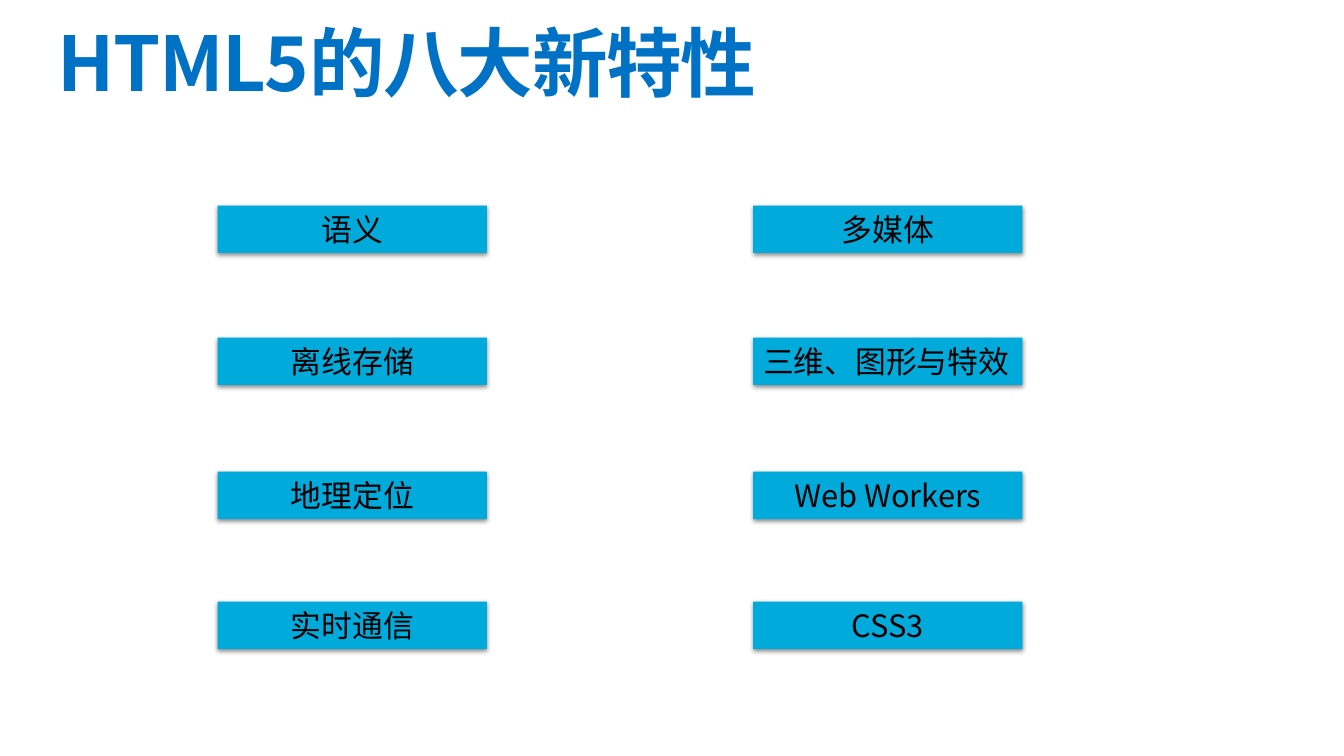
from dataclasses import dataclass

from lxml.etree import SubElement
from pptx import Presentation
from pptx.dml.color import RGBColor
from pptx.enum.shapes import MSO_SHAPE
from pptx.enum.text import MSO_ANCHOR, PP_ALIGN
from pptx.oxml.ns import qn
from pptx.util import Emu, Pt

SCALE = 9144  # EMU per px, 100 px to the inch
FONT = "Noto Sans CJK SC"
TITLE_BLUE = RGBColor(0x00, 0x72, 0xC6)
BOX_BLUE = RGBColor(0x00, 0xAB, 0xDC)
BLACK = RGBColor(0x00, 0x00, 0x00)

BOX_W, BOX_H = 267, 47
COLUMNS = (216, 747)
ROWS = (204, 335, 468, 597)


@dataclass
class Feature:
    text: str
    align: PP_ALIGN = PP_ALIGN.CENTER
    wrap: bool = True


FEATURES = (
    (Feature("语义"), Feature("离线存储"), Feature("地理定位"), Feature("实时通信")),
    (Feature("多媒体"), Feature("三维、图形与特效", PP_ALIGN.LEFT, False),
     Feature("Web Workers"), Feature("CSS3")),
)


def px(n: int) -> Emu:
    return Emu(n * SCALE)


def write(p, text: str, color: RGBColor, **fmt):
    r = p.add_run()
    r.text = text
    for name, value in {"name": FONT, **fmt}.items():
        setattr(r.font, name, value)
    r.font.color.rgb = color
    # East Asian glyphs take their own typeface element
    SubElement(r.font._element, qn("a:ea"), typeface=FONT)
    return r


def add_shadow(sp) -> None:
    sp.shadow.inherit = False
    effects = sp._element.spPr.find(qn("a:effectLst"))
    shadow = SubElement(effects, qn("a:outerShdw"), blurRad=str(Pt(3.5)),
                        dist=str(Pt(1.1)), dir="5400000", rotWithShape="0")
    color = SubElement(shadow, qn("a:srgbClr"), val=str(BLACK))
    SubElement(color, qn("a:alpha"), val="45000")


def add_title(s, text: str) -> None:
    tf = s.shapes.add_textbox(px(57), px(25), px(1219), px(82)).text_frame
    fmt = {"margin_left": 0, "margin_top": 0, "margin_right": 0, "margin_bottom": 0,
           "word_wrap": True, "vertical_anchor": MSO_ANCHOR.MIDDLE}
    for name, value in fmt.items():
        setattr(tf, name, value)
    p = tf.paragraphs[0]
    p.line_spacing = 0.9
    r = write(p, text, TITLE_BLUE, size=Pt(54), bold=True)
    r.font._element.set("spc", "-100")


def add_feature(s, feature: Feature, left: int, top: int) -> None:
    sp = s.shapes.add_shape(MSO_SHAPE.RECTANGLE, px(left), px(top), px(BOX_W), px(BOX_H))
    sp.fill.solid()
    sp.fill.fore_color.rgb = BOX_BLUE
    sp.line.fill.background()
    add_shadow(sp)
    tf = sp.text_frame
    tf.word_wrap = feature.wrap
    tf.vertical_anchor = MSO_ANCHOR.MIDDLE
    p = tf.paragraphs[0]
    p.alignment = feature.align
    write(p, feature.text, BLACK, size=Pt(22))


def main() -> None:
    prs = Presentation()
    prs.slide_width, prs.slide_height = px(1333), px(750)
    s = prs.slides.add_slide(prs.slide_layouts[6])

    add_title(s, "HTML5的八大新特性")

    # Two columns of feature boxes
    for left, column in zip(COLUMNS, FEATURES):
        for top, feature in zip(ROWS, column):
            add_feature(s, feature, left, top)

    prs.save("out.pptx")


if __name__ == "__main__":
    main()
